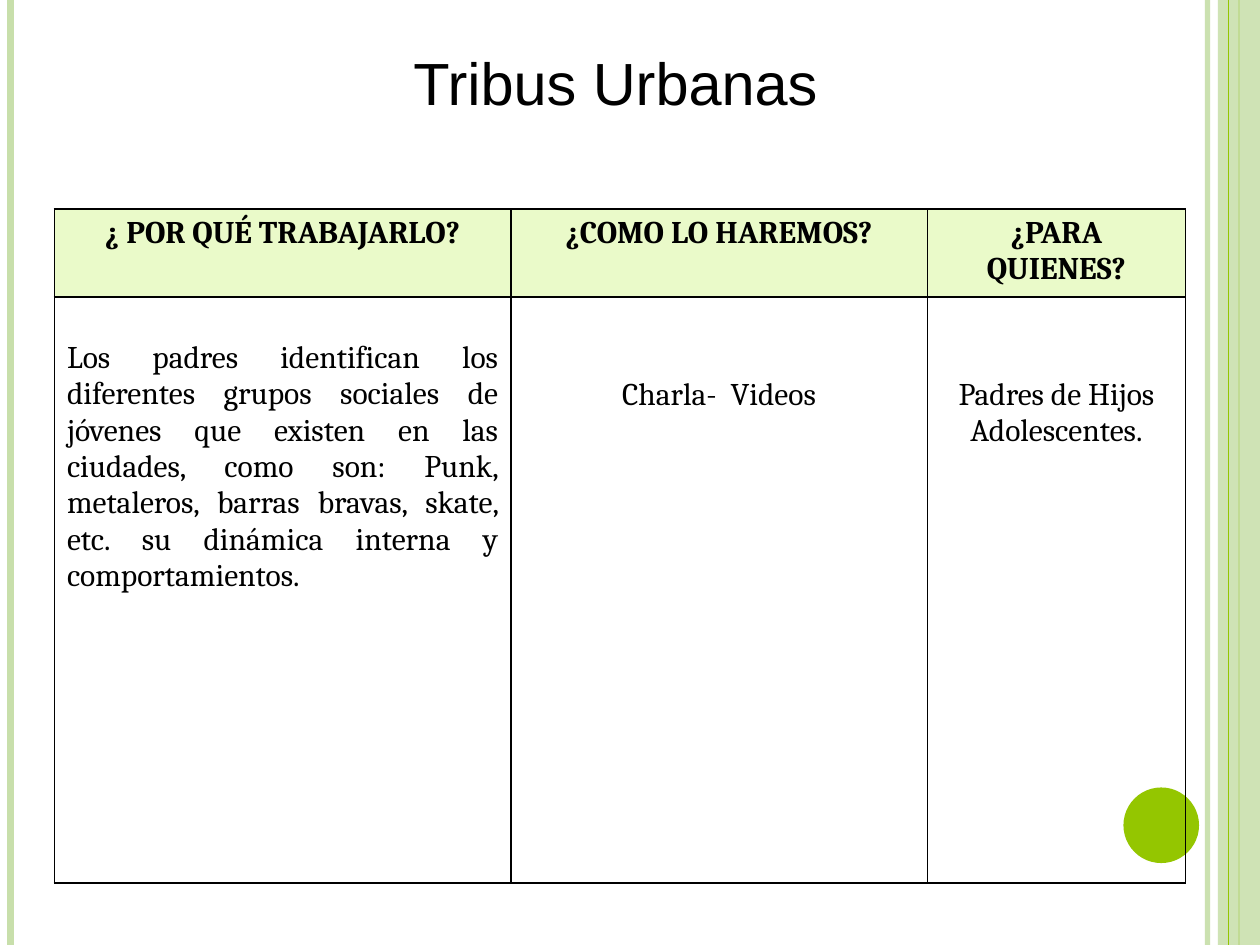
from lxml import etree
from pptx import Presentation
from pptx.dml.color import RGBColor
from pptx.enum import shapes, text
from pptx.oxml import ns
from pptx.util import Pt

WIDTH, HEIGHT = 720, 540
PALE, GREEN, HEADER, BLACK = "C8DFAB", "94C600", "EAFAC9", "000000"
CENTER, JUSTIFY = text.PP_ALIGN.CENTER, text.PP_ALIGN.JUSTIFY


def color(value):
    return RGBColor.from_string(value)


def add_xml(parent, tag, **attributes):
    return etree.SubElement(parent, ns.qn(tag), attributes)


def set_alpha(element, percent):
    """Make the first colour inside an element partly transparent."""
    fill = next(element.iter(ns.qn("a:srgbClr")))
    add_xml(fill, "a:alpha", val=str(percent * 1000))


class Page:
    """Holds the style and the current slide; all lengths are points."""

    title_format = {"name": "Arial", "size": Pt(34), "bold": False}
    header_format = {"name": "Cambria", "size": Pt(18), "bold": True}
    body_format = {"name": "Cambria", "size": Pt(18), "bold": False}
    border_width = 1

    def __init__(self, deck):
        self.page = deck.slides.add_slide(deck.slide_layouts[6])

    def add_words(self, para, words, font_format, align):
        para.alignment = align
        span = para.add_run()
        span.text = words
        for name, value in font_format.items():
            setattr(span.font, name, value)
        span.font.color.rgb = color(BLACK)

    def stripe(self, x, width, line_color, alpha=100):
        """Draw a vertical line over the full height."""
        line = self.page.shapes.add_connector(
            shapes.MSO_CONNECTOR.STRAIGHT, Pt(x), 0, Pt(x), Pt(HEIGHT))
        line.line.width = Pt(width)
        line.line.color.rgb = color(line_color)
        properties = line._element.spPr
        if alpha < 100:
            set_alpha(properties, alpha)
        add_xml(properties, "a:effectLst")

    def shape(self, kind, left, top, width, height, fill, alpha=100):
        box = self.page.shapes.add_shape(
            kind, Pt(left), Pt(top), Pt(width), Pt(height))
        box.shadow.inherit = False
        box.fill.solid()
        box.fill.fore_color.rgb = color(fill)
        box.line.fill.background()
        if alpha < 100:
            set_alpha(box._element.spPr, alpha)

    def title(self, words, left, top, width, height):
        box = self.page.shapes.add_textbox(
            Pt(left), Pt(top), Pt(width), Pt(height))
        box.text_frame.word_wrap = True
        self.add_words(box.text_frame.paragraphs[0], words,
                       self.title_format, CENTER)

    def border(self, cell):
        properties = cell._tc.get_or_add_tcPr()
        for index, side in enumerate(("a:lnL", "a:lnR", "a:lnT", "a:lnB")):
            line = add_xml(properties, side, w=str(Pt(self.border_width)))
            fill = add_xml(line, "a:solidFill")
            add_xml(fill, "a:srgbClr", val=BLACK)
            properties.insert(index, line)

    def table(self, left, top, widths, heights, headers, bodies):
        """Add a header row and a body row of (words, align, top margin)."""
        table = self.page.shapes.add_table(
            2, len(widths), Pt(left), Pt(top),
            Pt(sum(widths)), Pt(sum(heights))).table
        for column, width in zip(table.columns, widths):
            column.width = Pt(width)
        for row, height in zip(table.rows, heights):
            row.height = Pt(height)
        header_row = [(words, CENTER, 3.6) for words in headers]
        rows = ((header_row, self.header_format), (bodies, self.body_format))
        for r, (entries, font_format) in enumerate(rows):
            for c, (words, align, margin) in enumerate(entries):
                cell = table.cell(r, c)
                cell.margin_top = Pt(margin)
                if r == 0:
                    cell.fill.solid()
                    cell.fill.fore_color.rgb = color(HEADER)
                else:
                    cell.fill.background()
                self.border(cell)
                self.add_words(cell.text_frame.paragraphs[0], words,
                               font_format, align)


def main():
    deck = Presentation()
    deck.slide_width, deck.slide_height = Pt(WIDTH), Pt(HEIGHT)
    page = Page(deck)

    page.stripe(690, 3, PALE, alpha=93)
    page.stripe(6, 4.5, PALE)
    page.stripe(708, 1.5, GREEN)
    page.shape(shapes.MSO_SHAPE.RECTANGLE, 696, 0, 24, HEIGHT, PALE, alpha=87)
    page.stripe(702, 0.75, GREEN)
    page.shape(shapes.MSO_SHAPE.OVAL, 642, 450, 43.2, 43.2, GREEN)

    page.title("Tribus Urbanas", 65.5, 23, 572.4, 48.2)
    page.table(
        31.1, 119.4, (260.8, 238, 147.6), (50.3, 334.9),
        ("¿ POR QUÉ TRABAJARLO?", "¿COMO LO HAREMOS?", "¿PARA QUIENES?"),
        (("Los padres identifican los diferentes grupos sociales de jóvenes "
          "que existen en las ciudades, como son: Punk, metaleros, barras "
          "bravas, skate, etc. su dinámica interna y comportamientos.",
          JUSTIFY, 24.5),
         ("Charla-  Videos", CENTER, 45.5),
         ("Padres de Hijos Adolescentes.", CENTER, 45.5)))
    deck.save("out.pptx")


if __name__ == "__main__":
    main()
